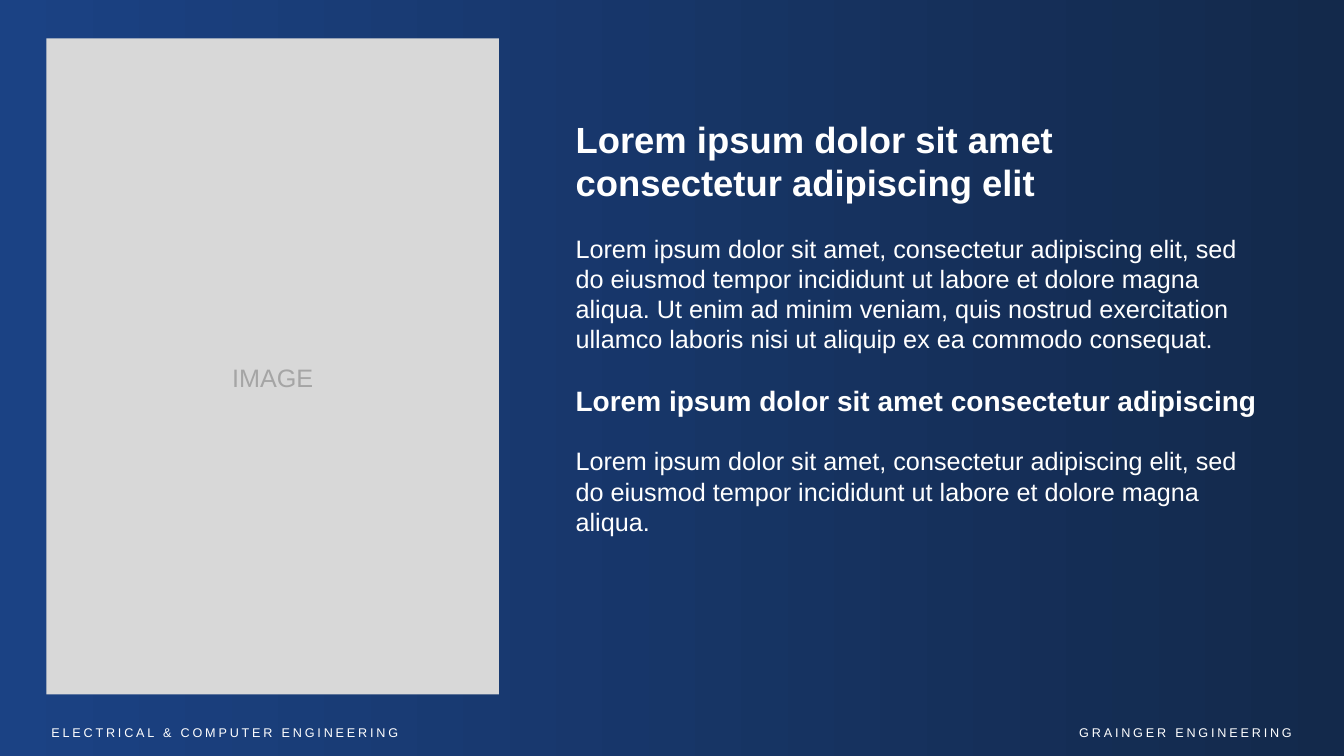
"""Build a slide with an image panel, a text column and a footer on a blue gradient."""
from dataclasses import dataclass

from pptx import Presentation
from pptx import util as u
from pptx.dml.color import RGBColor
from pptx.enum import shapes, text

WIDTH, HEIGHT = u.Inches(13.33), u.Inches(7.5)
COLUMN, ROW = WIDTH / 100, HEIGHT / 100
BLUE = RGBColor(0x1B, 0x42, 0x84)
NAVY = RGBColor(0x13, 0x29, 0x4B)
PANEL = RGBColor(0xD8, 0xD8, 0xD8)
GREY = RGBColor(0xA5, 0xA5, 0xA5)
WHITE = RGBColor(0xFF, 0xFF, 0xFF)
FONT = "Arial"
PARAGRAPH_GAP = u.Pt(20.7)
LEFT, CENTER, RIGHT = text.PP_ALIGN.LEFT, text.PP_ALIGN.CENTER, text.PP_ALIGN.RIGHT


@dataclass(frozen=True)
class Area:
    left: float
    top: float
    width: float
    height: float

    def emu(self) -> tuple[int, int, int, int]:
        return (round(self.left * COLUMN), round(self.top * ROW),
                round(self.width * COLUMN), round(self.height * ROW))


@dataclass(frozen=True)
class Para:
    words: str
    size: float
    bold: bool = False


@dataclass(frozen=True)
class TextBlock:
    area: Area
    paras: tuple[Para, ...]
    color: RGBColor = WHITE
    align: text.PP_ALIGN = LEFT
    tracking: float = 0


BACKDROP = Area(0, 0, 100, 100.13)
IMAGE_PANEL = Area(3.45, 5.07, 33.68, 86.8)
OPENING = ("Lorem ipsum dolor sit amet, consectetur adipiscing elit, sed do eiusmod "
           "tempor incididunt ut labore et dolore magna aliqua.")
BLOCKS = (
    TextBlock(Area(10.95, 47.2, 18.68, 5.33), (Para("IMAGE", 18),), GREY, CENTER),
    TextBlock(Area(42.09, 14.8, 52.66, 70.27), (
        Para("Lorem ipsum dolor sit amet consectetur adipiscing elit", 26, True),
        Para(OPENING + " Ut enim ad minim veniam, quis nostrud exercitation ullamco "
             "laboris nisi ut aliquip ex ea commodo consequat.", 18),
        Para("Lorem ipsum dolor sit amet consectetur adipiscing", 20, True),
        Para(OPENING, 18),
    )),
    TextBlock(Area(76.59, 95.2, 20.26, 3.33), (Para("GRAINGER ENGINEERING", 9),),
              align=RIGHT, tracking=2),
    TextBlock(Area(3.08, 95.2, 65.57, 3.33),
              (Para("ELECTRICAL & COMPUTER ENGINEERING", 9),), tracking=2),
)


def add_panel(s, area: Area, *colors: RGBColor) -> None:
    sp = s.shapes.add_shape(shapes.MSO_SHAPE.RECTANGLE, *area.emu())
    sp.shadow.inherit = False
    sp.line.fill.background()
    if len(colors) == 1:
        sp.fill.solid()
        sp.fill.fore_color.rgb = colors[0]
        return
    sp.fill.gradient()
    sp.fill.gradient_angle = 0
    for stop, color in zip(sp.fill.gradient_stops, colors):
        stop.color.rgb = color


def add_text(s, block: TextBlock) -> None:
    tf = s.shapes.add_textbox(*block.area.emu()).text_frame
    tf.word_wrap = True
    tf.text = "\n".join(para.words for para in block.paras)
    for i, (p, para) in enumerate(zip(tf.paragraphs, block.paras)):
        p.alignment = block.align
        if i:
            p.space_before = PARAGRAPH_GAP
        for r in p.runs:
            r.font.name = FONT
            r.font.size = u.Pt(para.size)
            r.font.bold = para.bold
            r.font.color.rgb = block.color
            if block.tracking:
                r._r.get_or_add_rPr().set("spc", str(round(block.tracking * 100)))


def main() -> None:
    prs = Presentation()
    prs.slide_width, prs.slide_height = WIDTH, HEIGHT
    s = prs.slides.add_slide(prs.slide_layouts[6])
    add_panel(s, BACKDROP, BLUE, NAVY)
    add_panel(s, IMAGE_PANEL, PANEL)
    for block in BLOCKS:
        add_text(s, block)
    prs.save("out.pptx")


if __name__ == "__main__":
    main()
